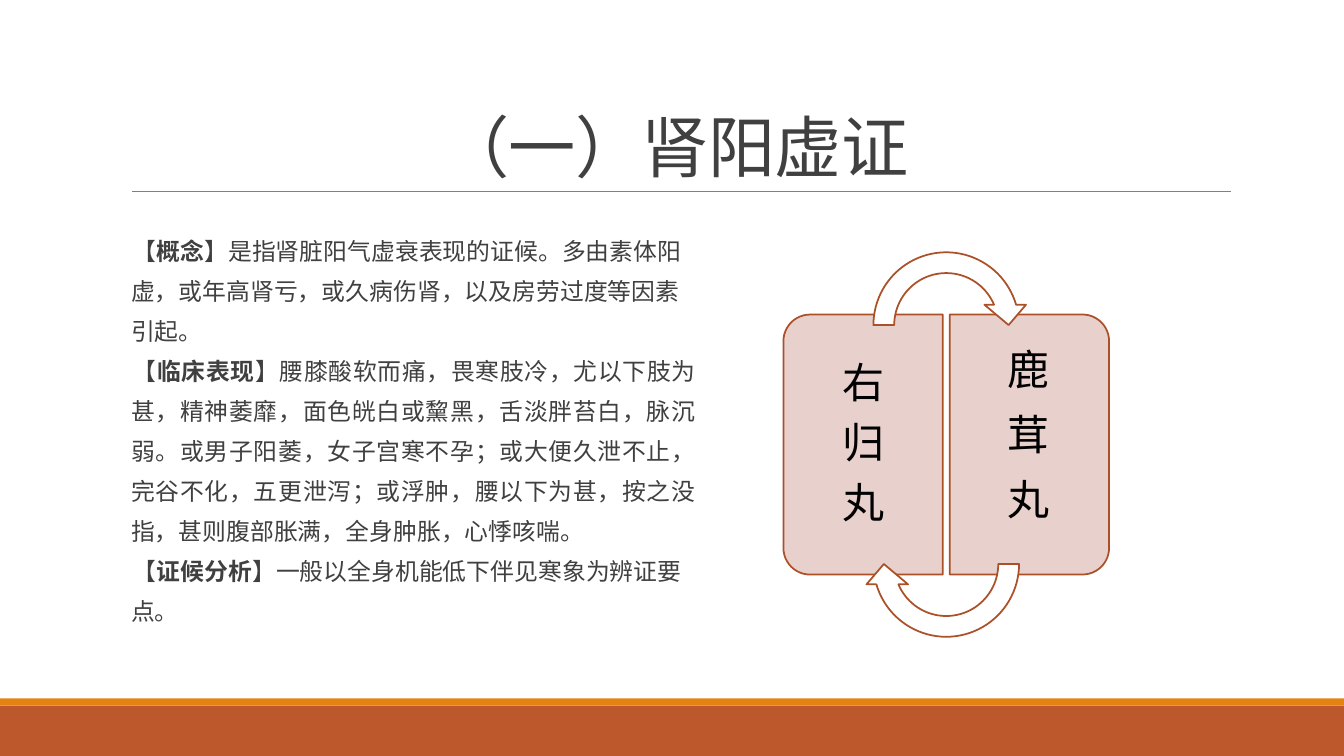
from lxml import etree
from pptx import Presentation
from pptx.dml.color import RGBColor
from pptx.enum.shapes import MSO_CONNECTOR, MSO_SHAPE
from pptx.enum.text import MSO_ANCHOR, PP_ALIGN
from pptx.oxml.ns import qn
from pptx.util import Inches, Pt

RECT = MSO_SHAPE.RECTANGLE
HALF_CARD = MSO_SHAPE.ROUND_2_SAME_RECTANGLE
CYCLE_ARROW = MSO_SHAPE.CIRCULAR_ARROW
STRAIGHT = MSO_CONNECTOR.STRAIGHT
TOP, MIDDLE, BOTTOM = MSO_ANCHOR.TOP, MSO_ANCHOR.MIDDLE, MSO_ANCHOR.BOTTOM
LEFT, CENTER, JUSTIFY = PP_ALIGN.LEFT, PP_ALIGN.CENTER, PP_ALIGN.JUSTIFY

RUST = RGBColor(0xBD, 0x58, 0x2C)
ORANGE = RGBColor(0xE4, 0x83, 0x12)
GRAY = RGBColor(0x80, 0x80, 0x80)
DARK = RGBColor(0x40, 0x40, 0x40)
BLACK = RGBColor(0, 0, 0)
WHITE = RGBColor(0xFF, 0xFF, 0xFF)
PINK = RGBColor(0xE8, 0xD1, 0xCD)
BROWN = RGBColor(0xAC, 0x50, 0x28)

HAN_FONT = "Noto Sans CJK SC"
BODY_FONT = "Calibri"
SLIDE_WIDTH = 13.33

SECTIONS = [
    ("概念", "是指肾脏阳气虚衰表现的证候。多由素体阳虚，或年高肾亏，或久病伤肾，"
     "以及房劳过度等因素引起。", LEFT),
    ("临床表现", "腰膝酸软而痛，畏寒肢冷，尤以下肢为甚，精神萎靡，面色㿠白或黧黑，"
     "舌淡胖苔白，脉沉弱。或男子阳萎，女子宫寒不孕；或大便久泄不止，完谷不化，"
     "五更泄泻；或浮肿，腰以下为甚，按之没指，甚则腹部胀满，全身肿胀，心悸咳喘。", JUSTIFY),
    ("证候分析", "一般以全身机能低下伴见寒象为辨证要点。", LEFT),
]
# remedy, card left, label left, anchor, line spacing, label insets, rotation
REMEDIES = [
    ("右归丸", 7.27, 7.85, MIDDLE, 0.9, (0.12, 0.21, 0.19, 0.21), 270),
    ("鹿茸丸", 8.92, 9.42, TOP, 1.0, (0.19, 0.21, 0.12, 0.21), 90),
]
ARROWS = [(2.4, 0), (4.77, 180)]
ARROW_ADJUSTMENTS = (0.125, 11.423, 204.577, 108, 0.125)


def add_figure(slide, kind, box, fill, outline=None, rotation=0, adjustments=()):
    figure = slide.shapes.add_shape(kind, *map(Inches, box))
    figure.shadow.inherit = False
    figure.rotation = rotation
    for index, value in enumerate(adjustments):
        figure.adjustments[index] = value
    figure.fill.solid()
    figure.fill.fore_color.rgb = fill
    if outline is None:
        figure.line.fill.background()
    else:
        figure.line.color.rgb = outline
        figure.line.width = Pt(1.25)


def add_title_rule(slide):
    rule = slide.shapes.add_connector(
        STRAIGHT, Inches(1.31), Inches(1.9), Inches(12.21), Inches(1.9))
    rule.line.color.rgb = GRAY
    rule.line.width = Pt(0.5)
    etree.SubElement(rule._element.spPr, qn("a:effectLst"))


def add_text_frame(slide, box, anchor, insets=(0.1, 0.05, 0.1, 0.05)):
    frame = slide.shapes.add_textbox(*map(Inches, box)).text_frame
    frame.word_wrap = True
    frame.vertical_anchor = anchor
    for side, inset in zip(("left", "top", "right", "bottom"), insets):
        setattr(frame, f"margin_{side}", Inches(inset))
    return frame


def add_paragraph(frame, index, alignment, line_spacing):
    paragraph = frame.add_paragraph() if index else frame.paragraphs[0]
    paragraph.alignment = alignment
    paragraph.line_spacing = line_spacing
    return paragraph


def add_run(paragraph, text, font_name, size, color, bold=False):
    run = paragraph.add_run()
    run.text = text
    font_format = {"name": font_name, "size": Pt(size), "bold": bold}
    for attribute, value in font_format.items():
        setattr(run.font, attribute, value)
    run.font.color.rgb = color
    properties = run._r.get_or_add_rPr()
    etree.SubElement(properties, qn("a:ea"), typeface=font_name)
    return properties


def add_blank_bullet(paragraph):
    """Give the hanging indent of a list with an invisible orange bullet."""
    properties = paragraph._p.get_or_add_pPr()
    properties.set("marL", str(Inches(0.1)))
    properties.set("indent", str(Inches(-0.1)))
    color = etree.SubElement(properties, qn("a:buClr"))
    etree.SubElement(color, qn("a:srgbClr"), val=str(ORANGE))
    etree.SubElement(properties, qn("a:buChar"), char=" ")


def set_relative_space_after(paragraph, percent):
    space = etree.SubElement(paragraph._p.get_or_add_pPr(), qn("a:spcAft"))
    etree.SubElement(space, qn("a:spcPct"), val=str(percent * 1000))


def add_title(slide, text):
    frame = add_text_frame(slide, (1.2, 0.31, 11, 1.59), BOTTOM)
    paragraph = add_paragraph(frame, 0, CENTER, 0.85)
    add_run(paragraph, text, HAN_FONT, 48, DARK).set("spc", "-50")


def add_sections(slide):
    frame = add_text_frame(slide, (1.2, 2.02, 5.7, 4.4), MIDDLE, (0, 0.05, 0, 0.05))
    for index, (heading, text, alignment) in enumerate(SECTIONS):
        paragraph = add_paragraph(frame, index, alignment, 1.4)
        add_blank_bullet(paragraph)
        for part, bold in (("【", False), (heading, True), ("】" + text, False)):
            add_run(paragraph, part, BODY_FONT, 17, DARK, bold)


def add_remedy(slide, remedy, card_left, label_left, anchor, spacing, insets, rotation):
    add_figure(slide, HALF_CARD, (card_left, 3.62, 2.58, 1.58), PINK, BROWN,
               rotation, (0.167, 0))
    frame = add_text_frame(slide, (label_left, 3.2, 1.5, 2.43), anchor, insets)
    for index, character in enumerate(remedy):
        paragraph = add_paragraph(frame, index, CENTER, spacing)
        set_relative_space_after(paragraph, 35)
        add_run(paragraph, character, HAN_FONT, 30, BLACK)


def main():
    presentation = Presentation()
    presentation.slide_width = Inches(SLIDE_WIDTH)
    presentation.slide_height = Inches(7.5)
    slide = presentation.slides.add_slide(presentation.slide_layouts[6])

    add_figure(slide, RECT, (0, 7, SLIDE_WIDTH, 0.5), RUST)
    add_figure(slide, RECT, (0, 6.93, SLIDE_WIDTH, 0.07), ORANGE)
    add_title_rule(slide)
    add_title(slide, "（一）肾阳虚证")
    add_sections(slide)
    for remedy in REMEDIES:
        add_remedy(slide, *remedy)
    for top, rotation in ARROWS:
        add_figure(slide, CYCLE_ARROW, (8.56, top, 1.65, 1.65), WHITE, BROWN,
                   rotation, ARROW_ADJUSTMENTS)
    presentation.save("out.pptx")


if __name__ == "__main__":
    main()
